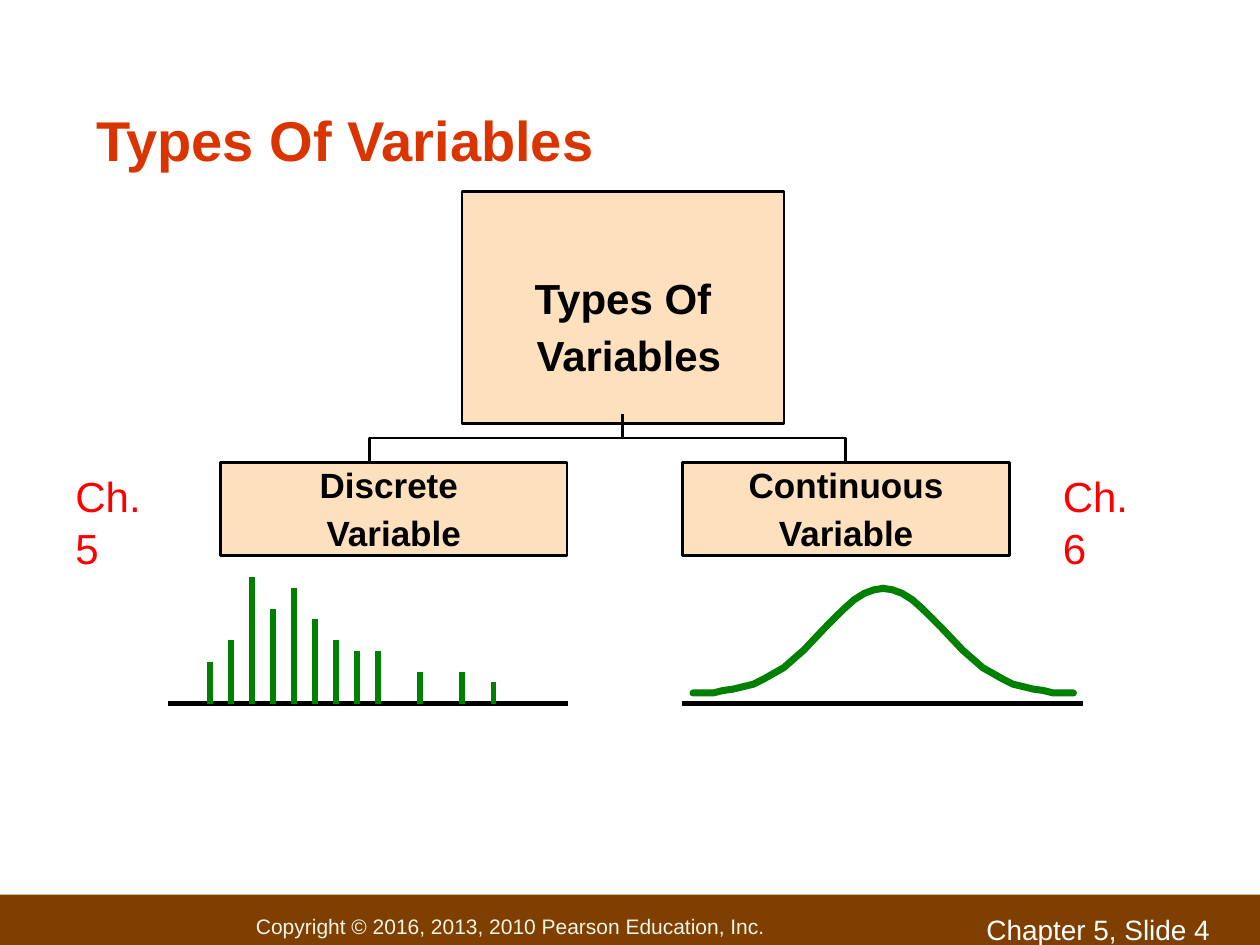
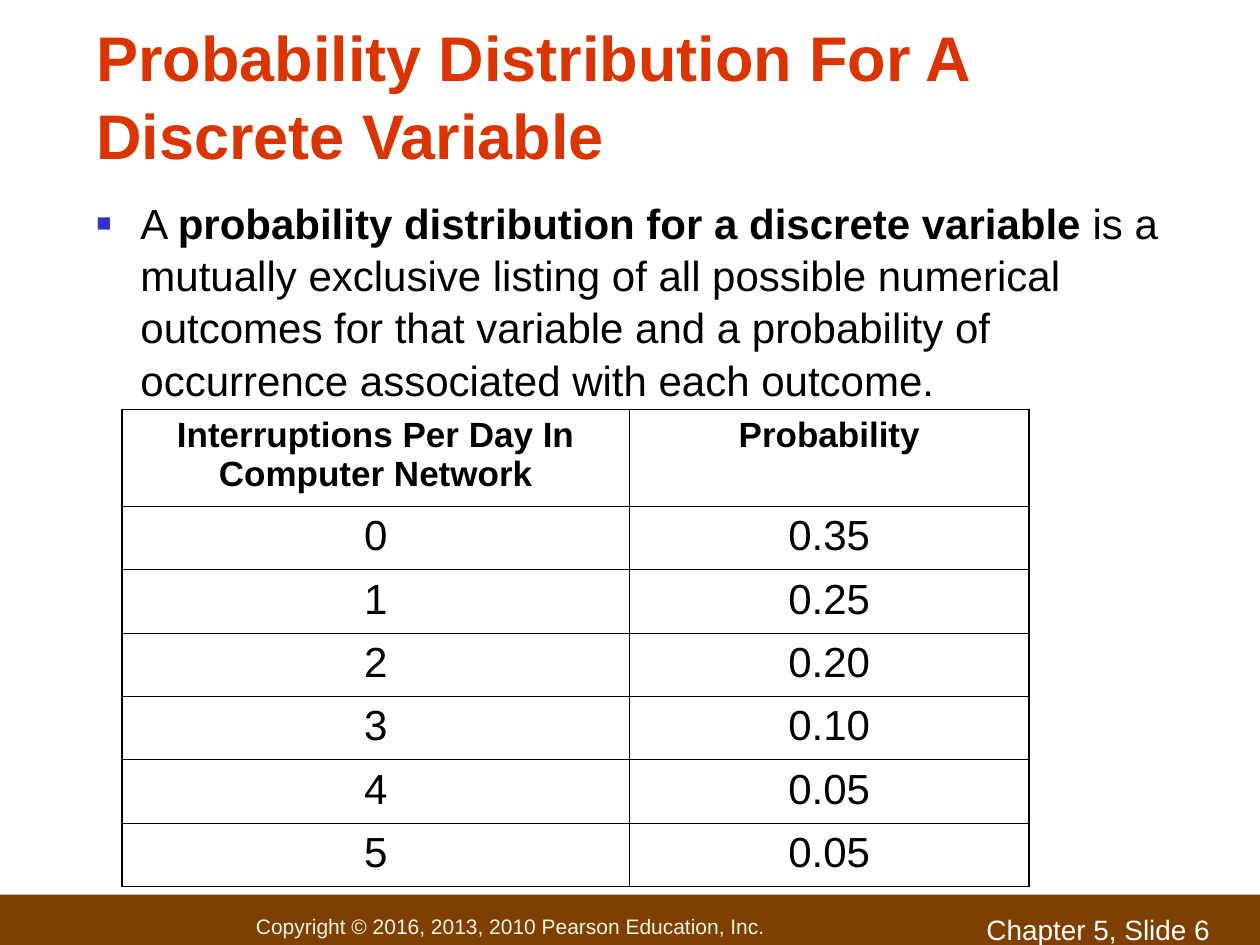
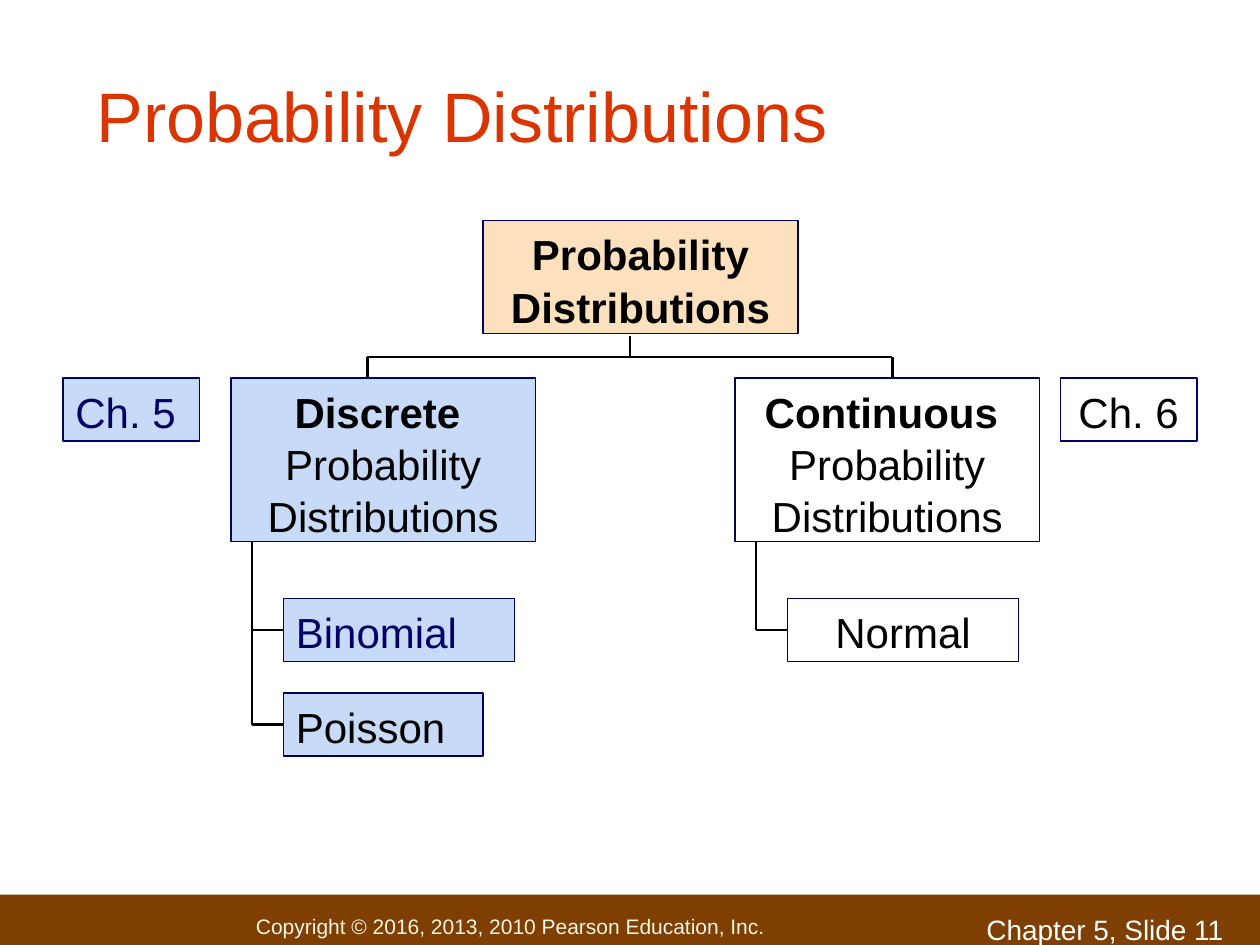
from pptx import Presentation
from pptx.dml.color import RGBColor
from pptx.enum.shapes import MSO_CONNECTOR as CONN, MSO_SHAPE as SHAPE
from pptx.enum.text import MSO_ANCHOR as ANCHOR, PP_ALIGN as ALIGN
from pptx.oxml.ns import qn
from pptx.util import Pt
from lxml.etree import SubElement

BLACK = RGBColor(0x00, 0x00, 0x00)
WHITE = RGBColor(0xFF, 0xFF, 0xFF)
BROWN = RGBColor(0x7E, 0x3F, 0x00)
CREAM = RGBColor(0xF3, 0xF5, 0xE7)
ORANGE = RGBColor(0xDA, 0x34, 0x00)
PEACH = RGBColor(0xFD, 0xE0, 0xBD)
PALE_BLUE = RGBColor(0xC7, 0xDA, 0xF7)
NAVY = RGBColor(0x00, 0x00, 0x66)
BULLET_BLUE = RGBColor(0x33, 0x33, 0xCC)
GREEN = RGBColor(0x00, 0x80, 0x00)
RED = RGBColor(0xFF, 0x00, 0x00)
FONT = "Arial"


def add_text(s, paragraphs, x, y, w, h, size=24, color=BLACK, bold=False, align=ALIGN.LEFT,
             anchor=ANCHOR.TOP, fill=None, line=None, weight=1, spacing=1.04, before=0,
             left=7.2, top=3.6, wrap=True):
    box = (Pt(x), Pt(y), Pt(w), Pt(h))
    if fill is None:
        sp = s.shapes.add_textbox(*box)
    else:
        sp = s.shapes.add_shape(SHAPE.RECTANGLE, *box)
        sp.shadow.inherit = False
        sp.fill.solid()
        sp.fill.fore_color.rgb = fill
        if line is None:
            sp.line.fill.background()
        else:
            sp.line.color.rgb = line
            sp.line.width = Pt(weight)
    tf = sp.text_frame
    tf.word_wrap = wrap
    tf.vertical_anchor = anchor
    tf.margin_left, tf.margin_top = Pt(left), Pt(top)
    for i, runs in enumerate(paragraphs):
        p = tf.add_paragraph() if i else tf.paragraphs[0]
        p.alignment = align
        p.line_spacing = spacing
        if i:
            p.space_before = Pt(before)
        for text, is_bold in [(runs, bold)] if isinstance(runs, str) else runs:
            r = p.add_run()
            r.text = text
            r.font.name, r.font.size, r.font.bold = FONT, Pt(size), is_bold
            r.font.color.rgb = color
    return sp


def add_line(s, x1, y1, x2, y2, color=BLACK, weight=1.5, kind=CONN.STRAIGHT):
    cx = s.shapes.add_connector(kind, Pt(x1), Pt(y1), Pt(x2), Pt(y2))
    cx.line.color.rgb = color
    cx.line.width = Pt(weight)
    SubElement(cx._element.spPr, qn("a:effectLst"))
    return cx


prs = Presentation()
prs.slide_width, prs.slide_height = Pt(720), Pt(540)

titles = [
    (4, "Types Of Variables", (48, 12.2, 613, 90), dict(size=32, bold=True, spacing=0.83, anchor=ANCHOR.BOTTOM)),
    (6, "Probability Distribution For A Discrete Variable", (48, 24, 581, 78),
     dict(size=36, bold=True, anchor=ANCHOR.BOTTOM)),
    (11, "Probability Distributions", (48, 36, 555, 55), dict(size=40)),
]
slides = []
for number, title, box, style in titles:
    s = prs.slides.add_slide(prs.slide_layouts[6])
    add_text(s, ["Copyright © 2016, 2013, 2010 Pearson Education, Inc."], 0, 511.2, 720, 35,
             size=12, color=CREAM, fill=BROWN, anchor=ANCHOR.MIDDLE, left=146.3)
    add_text(s, [f"Chapter 5, Slide {number}"], 556.6, 517, 167.8, 19, size=16, color=WHITE)
    add_text(s, [title], *box, color=ORANGE, **style)
    slides.append(s)
types_slide, table_slide, tree_slide = slides

s = types_slide
node = dict(bold=True, align=ALIGN.CENTER, anchor=ANCHOR.MIDDLE, fill=PEACH, line=BLACK,
            weight=1.5, spacing=0.62)
add_text(s, ["Types Of", " Variables"], 264, 109.4, 184, 132.5, before=15, top=33.6, **node)
add_text(s, ["Discrete ", "Variable"], 126, 264.4, 198, 53, size=20, before=12.5, top=10, **node)
add_text(s, ["Continuous", "Variable"], 390, 264.4, 187, 53, size=20, before=12.5, top=10, **node)

root_x, branch_top, branch_h = 355.7, 236.5, 27.5
for end_x, side, angle in [(211, 1, 90), (483.2, -1, 270)]:
    mid_x, mid_y = (root_x + end_x) / 2, branch_top + branch_h / 2
    half_w, half_h = side * branch_h / 2, abs(end_x - root_x) / 2
    cx = add_line(s, mid_x - half_w, mid_y - half_h, mid_x + half_w, mid_y + half_h, kind=CONN.ELBOW)
    cx._element.spPr.find(qn("a:xfrm")).set("rot", str(angle * 60000))

axis_y = 402.2
for x in (96, 390):
    add_line(s, x, axis_y, x + 228.6, axis_y, weight=3)

curve_steps = [0, 2, 3, 4, 5, 6, 7, 9, 11, 13, 14, 15, 16, 17, 18, 19]
curve_ys = [396, 396, 394.6, 393.8, 392.4, 391, 388.1, 381.6,
            371.5, 359.3, 353.5, 347.8, 342.7, 339.1, 337, 336.2]
for start_x, side in [(396, 1), (613.4, -1)]:
    points = [(Pt(start_x + side * 5.76 * k), Pt(y)) for k, y in zip(curve_steps, curve_ys)]
    builder = s.shapes.build_freeform(*points[0])
    builder.add_line_segments(points[1:], close=False)
    sp = builder.convert_to_shape()
    sp.shadow.inherit = False
    sp.fill.background()
    sp.line.color.rgb = GREEN
    sp.line.width = Pt(4)
    sp.line._get_or_add_ln().set("cap", "rnd")

bar_xs = [*range(120, 217, 12), 240, 264, 282]
bar_tops = [378, 366, 330, 348, 336, 354, 366, 372, 372, 384, 384, 390]
for x, top in zip(bar_xs, bar_tops):
    add_line(s, x, top, x, axis_y, color=GREEN, weight=3)

for chapter, x in [("Ch. 5", 36), ("Ch. 6", 600.2)]:
    add_text(s, [chapter], x, 264.2, 71.3, 36, color=RED, wrap=False)

s = table_slide
definition = [
    ("A ", False),
    ("probability distribution for a discrete variable", True),
    (" is a mutually exclusive listing of all possible numerical outcomes for that variable "
     "and a probability of occurrence associated with each outcome.", False),
]
sp = add_text(s, [definition], 48, 108, 624, 126)
pPr = sp.text_frame.paragraphs[0]._p.get_or_add_pPr()
pPr.set("marL", str(Pt(25.2)))
pPr.set("indent", str(-Pt(25.2)))
SubElement(SubElement(pPr, qn("a:buClr")), qn("a:srgbClr"), val=str(BULLET_BLUE))
SubElement(pPr, qn("a:buSzPct"), val="60000")
SubElement(pPr, qn("a:buFont"), typeface=FONT)
SubElement(pPr, qn("a:buChar"), char="■")

rows = [
    ("Interruptions Per Day In Computer Network", "Probability"),
    ("0", "0.35"), ("1", "0.25"), ("2", "0.20"), ("3", "0.10"), ("4", "0.05"), ("5", "0.05"),
]
col_widths = [290.2, 228.2]
table = s.shapes.add_table(len(rows), 2, Pt(69.6), Pt(234), Pt(518.4), Pt(272.6)).table
table.first_row = table.horz_banding = False
for col, width in zip(table.columns, col_widths):
    col.width = Pt(width)
for i, values in enumerate(rows):
    table.rows[i].height = Pt(36.2 if i else 55.4)
    for j, value in enumerate(values):
        cell = table.cell(i, j)
        p = cell.text_frame.paragraphs[0]
        p.alignment = ALIGN.CENTER
        r = p.add_run()
        r.text = value
        r.font.name, r.font.size, r.font.bold = FONT, Pt(24 if i else 20), i == 0
        r.font.color.rgb = BLACK
        tcPr = cell._tc.get_or_add_tcPr()
        edges = [("a:lnL", j == 0), ("a:lnR", j == 1), ("a:lnT", i == 0), ("a:lnB", i == len(rows) - 1)]
        for tag, outer in edges:
            ln = SubElement(tcPr, qn(tag), w=str(Pt(1.08 if outer else 0.45)))
            SubElement(SubElement(ln, qn("a:solidFill")), qn("a:srgbClr"), val=str(BLACK))
        cell.fill.background()

s = tree_slide
for x1, y1, x2, y2 in [
    (360, 192, 360, 204), (210, 204, 510, 204), (210, 204, 210, 222), (510, 204, 510, 222),
    (144, 300, 144, 414), (432, 300, 432, 360),
]:
    add_line(s, x1, y1, x2, y2)

add_text(s, ["Probability Distributions"], 276, 126, 180, 64.6, bold=True, align=ALIGN.CENTER,
         fill=PEACH, line=NAVY)
for kind, x, fill in [("Discrete ", 132, PALE_BLUE), ("Continuous ", 420, WHITE)]:
    add_text(s, [[(kind, True)], "Probability Distributions"], x, 216, 174, 93.4,
             align=ALIGN.CENTER, fill=fill, line=NAVY)
for chapter, x, fill, color, align in [
    ("Ch. 5", 36, PALE_BLUE, NAVY, ALIGN.LEFT), ("Ch. 6", 606, WHITE, BLACK, ALIGN.CENTER),
]:
    add_text(s, [chapter], x, 216, 78, 36, color=color, align=align, fill=fill, line=NAVY)
for name, x, y, w, fill, color, align in [
    ("Binomial", 162, 342, 132, PALE_BLUE, NAVY, ALIGN.LEFT),
    ("Poisson", 162, 396, 114, PALE_BLUE, BLACK, ALIGN.LEFT),
    ("Normal", 450, 342, 132, WHITE, BLACK, ALIGN.CENTER),
]:
    sp = add_text(s, [name], x, y, w, 36, color=color, align=align, fill=fill, line=NAVY)
    add_line(s, x - 18, y + 18, x, y + 18).end_connect(sp, 1)

prs.save("out.pptx")
